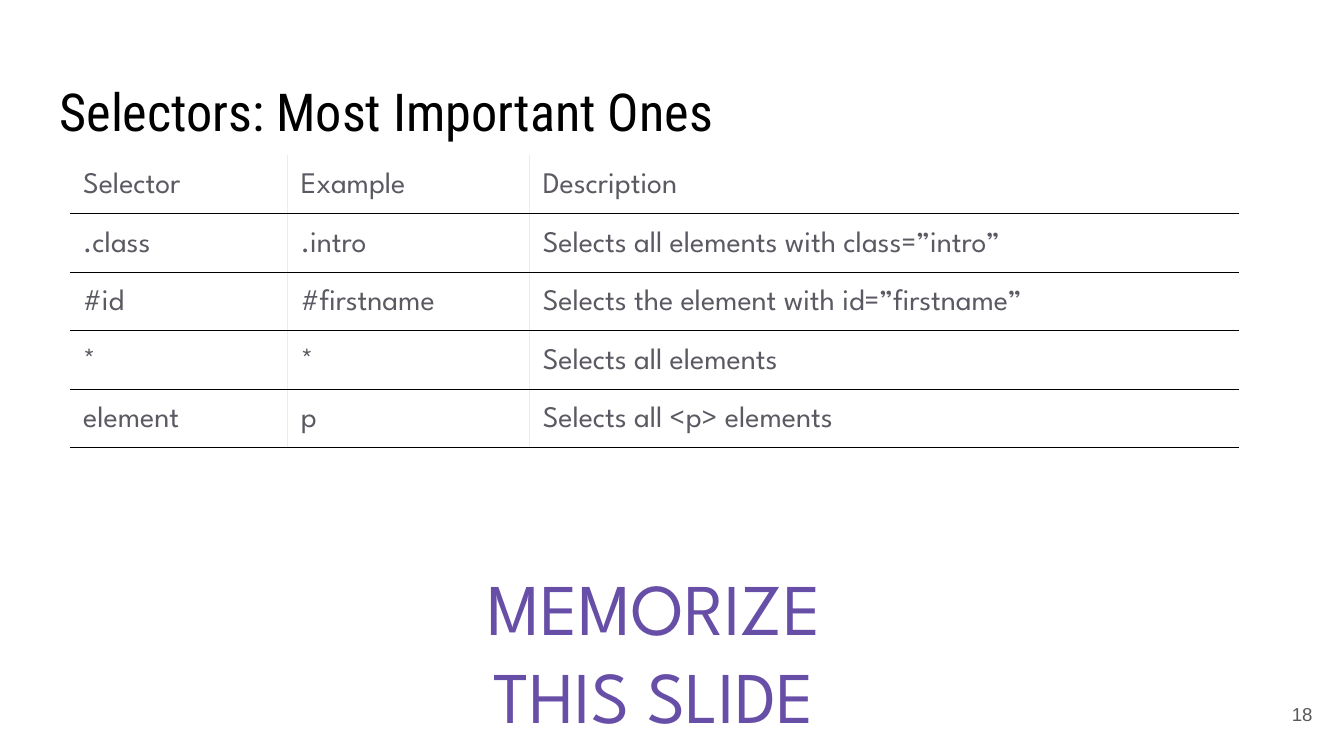
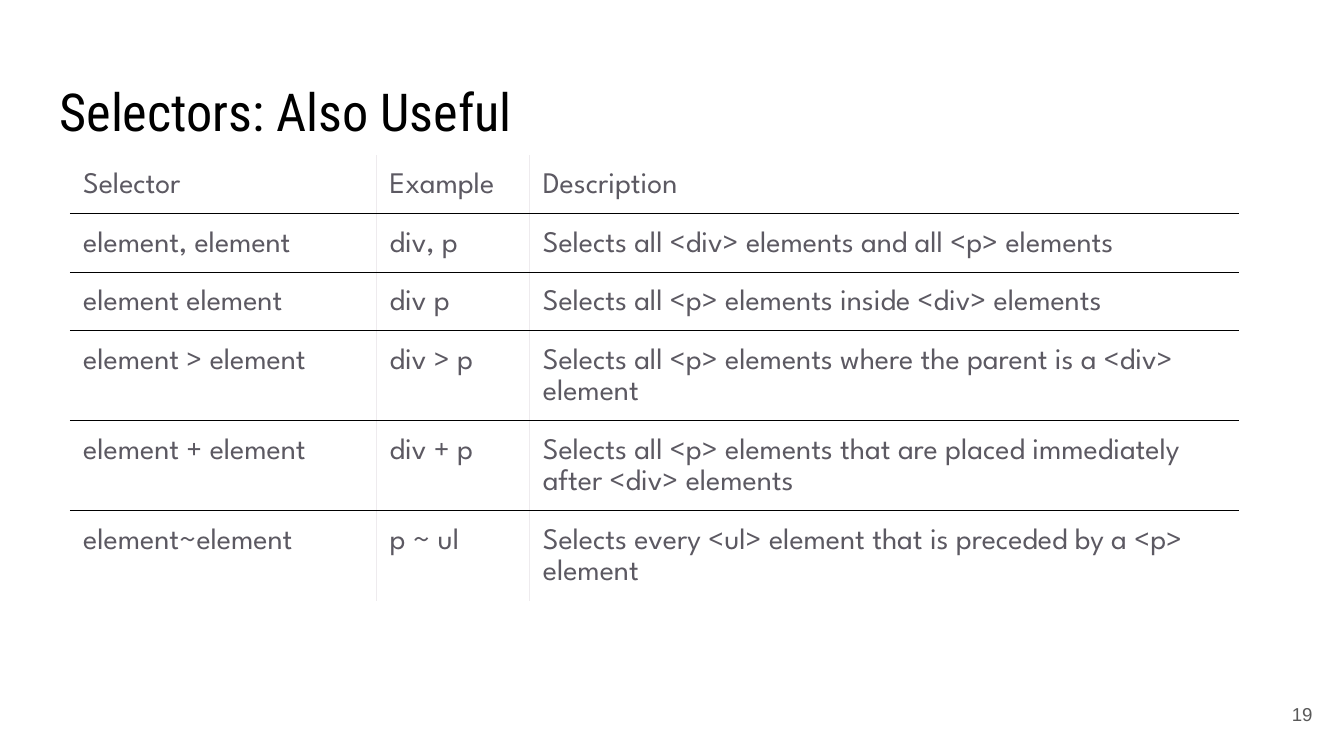
import pptx
import pptx.dml.color
import pptx.enum.text
import pptx.oxml
import pptx.oxml.ns
import pptx.util
from pptx.util import Pt

BLACK = pptx.dml.color.RGBColor(0x00, 0x00, 0x00)
WHITE = pptx.dml.color.RGBColor(0xFF, 0xFF, 0xFF)
BODY_GRAY = pptx.dml.color.RGBColor(0x5C, 0x59, 0x62)
NUMBER_GRAY = pptx.dml.color.RGBColor(0x59, 0x59, 0x59)
COLUMN_RULE = pptx.dml.color.RGBColor(0xEE, 0xEB, 0xEE)
PURPLE = pptx.dml.color.RGBColor(0x67, 0x4E, 0xA7)

TITLE_FONT = "Roboto Condensed"
BODY_FONT = "League Spartan"
NUMBER_FONT = "Arial"

INSET = Pt(7.2)
TABLE_LEFT, TABLE_TOP = Pt(37.4), Pt(83.2)
ROW_HEIGHT = Pt(25.2)
CELL_LINE = Pt(16.9)
DESCRIPTION_WIDTH = 380.2
HEADINGS = ("Selector", "Example", "Description")

IMPORTANT_SELECTORS = [
    (".class", ".intro", "Selects all elements with class=”intro”"),
    ("#id", "#firstname", "Selects the element with id=”firstname”"),
    ("*", "*", "Selects all elements"),
    ("element", "p", "Selects all <p> elements"),
]
USEFUL_SELECTORS = [
    ("element, element", "div, p", "Selects all <div> elements and all <p> elements"),
    ("element element", "div p", "Selects all <p> elements inside <div> elements"),
    ("element > element", "div > p",
     "Selects all <p> elements where the parent is a <div> element"),
    ("element + element", "div + p",
     "Selects all <p> elements that are placed immediately after <div> elements"),
    ("element~element", "p ~ ul",
     "Selects every <ul> element that is preceded by a <p> element"),
]


def style_text(paragraph, font, size, color):
    """Format every run of a paragraph."""
    for run in paragraph.runs:
        run.font.name = font
        run.font.size = Pt(size)
        run.font.color.rgb = color


def add_text(slide, box, text, font, size, color, align="LEFT", anchor="MIDDLE"):
    """Add a wrapped text box placed by (left, top, width, height) in points."""
    frame = slide.shapes.add_textbox(*map(Pt, box)).text_frame
    frame.word_wrap = True
    frame.margin_left = frame.margin_right = INSET
    frame.margin_top = frame.margin_bottom = INSET
    frame.vertical_anchor = pptx.enum.text.MSO_ANCHOR[anchor]
    frame.text = text
    paragraph = frame.paragraphs[0]
    paragraph.alignment = pptx.enum.text.PP_ALIGN[align]
    style_text(paragraph, font, size, color)


def set_borders(cell, **colors):
    """Draw the sides of a cell that have a colour and clear the others."""
    properties = cell._tc.get_or_add_tcPr()
    for position, side in enumerate(("L", "R", "T", "B")):
        color = colors.get(side)
        paint = "<a:noFill/>"
        if color is not None:
            paint = f'<a:solidFill><a:srgbClr val="{color}"/></a:solidFill>'
        properties.insert(position, pptx.oxml.parse_xml(
            f'<a:ln{side} w="{Pt(0.75)}" {pptx.oxml.ns.nsdecls("a")}>{paint}</a:ln{side}>'))


def fill_cell(cell, text):
    """Write and format one table cell."""
    cell.text = text
    cell.margin_left = cell.margin_right = INSET
    cell.margin_top = cell.margin_bottom = INSET
    cell.fill.solid()
    cell.fill.fore_color.rgb = WHITE
    paragraph = cell.text_frame.paragraphs[0]
    paragraph.line_spacing = CELL_LINE
    style_text(paragraph, BODY_FONT, 16, BODY_GRAY)


def add_selector_table(slide, selectors, widths, closed):
    """Add a selector table, with a rule under the last row if closed."""
    rows = [HEADINGS, *selectors]
    widths = (*widths, DESCRIPTION_WIDTH)
    table = slide.shapes.add_table(
        len(rows), len(widths), TABLE_LEFT, TABLE_TOP,
        Pt(sum(widths)), ROW_HEIGHT * len(rows)).table
    table.first_row = table.horz_banding = False
    for column, width in zip(table.columns, widths):
        column.width = Pt(width)
    last_row, last_column = len(rows) - 1, len(widths) - 1
    for r, row in enumerate(rows):
        table.rows[r].height = ROW_HEIGHT
        for c, text in enumerate(row):
            cell = table.cell(r, c)
            fill_cell(cell, text)
            set_borders(
                cell,
                L=COLUMN_RULE if c > 0 else None,
                R=COLUMN_RULE if c < last_column else None,
                T=BLACK if r > 0 else None,
                B=BLACK if r < last_row or closed else None)


def add_slide(deck, title, number):
    """Add a blank slide with its title and slide number."""
    slide = deck.slides.add_slide(deck.slide_layouts[6])
    add_text(slide, (24.8, 35.3, 671, 45.4), title, TITLE_FONT, 28, BLACK, anchor="TOP")
    add_text(slide, (667, 367.2, 43.2, 31), str(number), NUMBER_FONT, 10, NUMBER_GRAY,
             align="RIGHT")
    return slide


def main():
    """Build and save the deck."""
    deck = pptx.Presentation()
    deck.slide_width, deck.slide_height = Pt(720), Pt(405)

    important = add_slide(deck, "Selectors: Most Important Ones", 18)
    add_selector_table(important, IMPORTANT_SELECTORS, (116.6, 129.6), closed=True)
    add_text(important, (233.3, 330.5, 234.7, 36), "MEMORIZE THIS SLIDE", BODY_FONT, 39, PURPLE,
             align="CENTER")

    useful = add_slide(deck, "Selectors: Also Useful", 19)
    add_selector_table(useful, USEFUL_SELECTORS, (164.2, 82.1), closed=False)

    deck.save("out.pptx")


if __name__ == "__main__":
    main()
